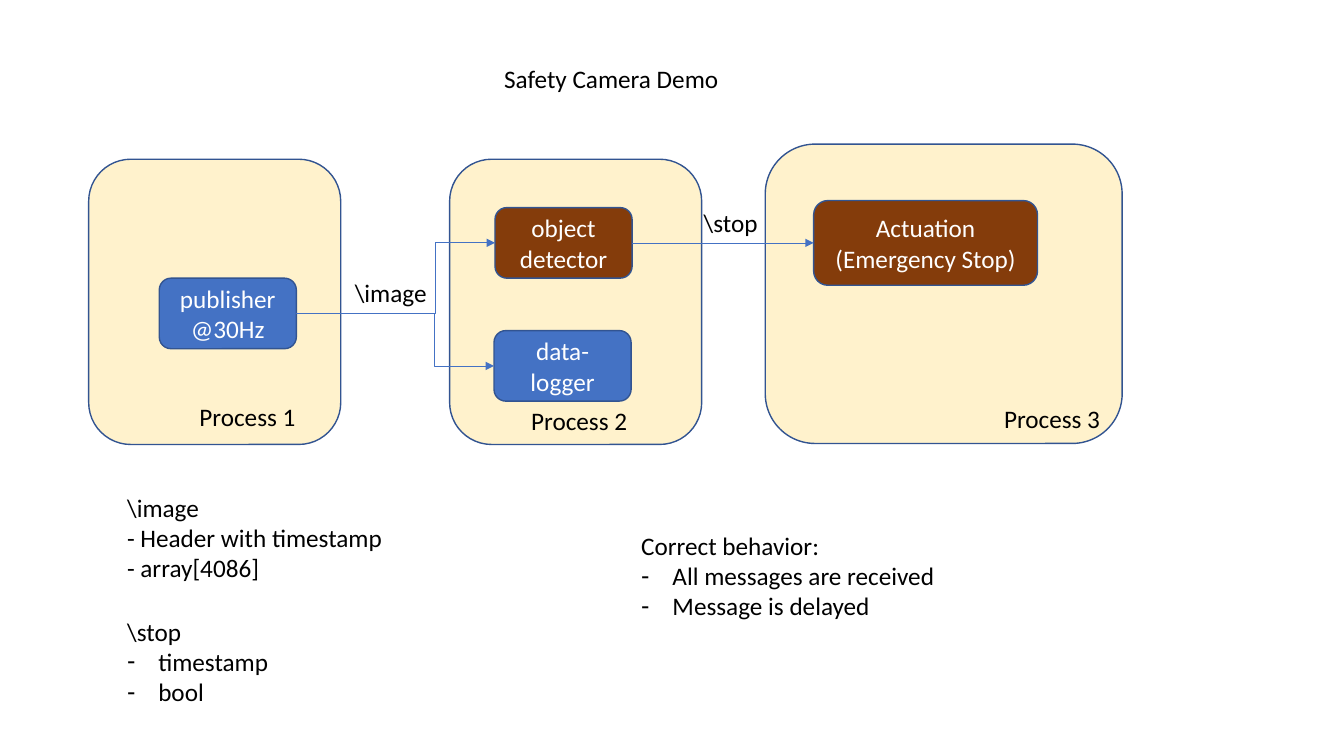
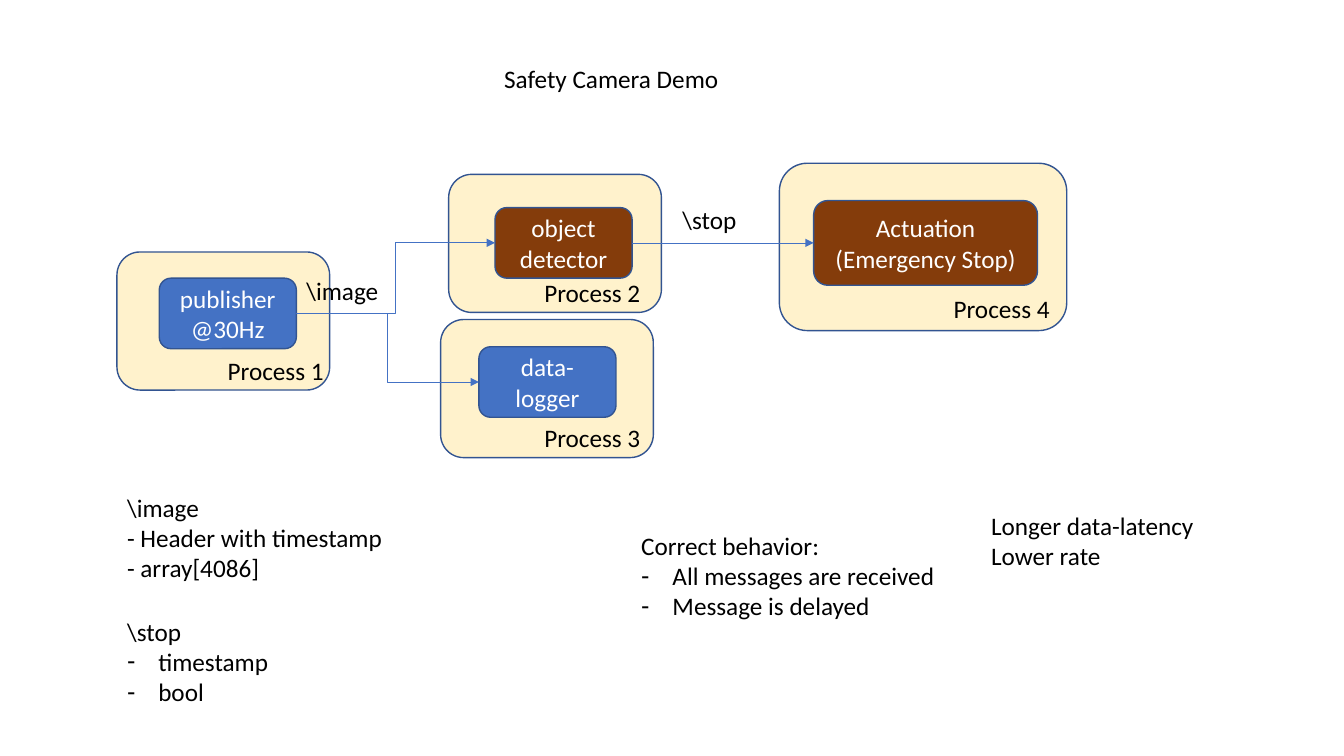
from lxml import etree
from pptx import Presentation
from pptx.dml.color import RGBColor
from pptx.enum.shapes import MSO_CONNECTOR, MSO_SHAPE
from pptx.enum.text import MSO_ANCHOR, MSO_AUTO_SIZE, PP_ALIGN
from pptx.oxml.ns import qn
from pptx.util import Emu, Pt

PX = 9144  # 100 px to the inch
INDENT = 31
COMPARE = 4  # layout with a title and four bodies

CREAM = RGBColor(0xFF, 0xF2, 0xCC)
BLUE = RGBColor(0x44, 0x72, 0xC4)
BROWN = RGBColor(0x84, 0x3C, 0x0B)
NAVY = RGBColor(0x32, 0x54, 0x91)
BLACK = RGBColor(0, 0, 0)
WHITE = RGBColor(0xFF, 0xFF, 0xFF)

ROUND = MSO_SHAPE.ROUNDED_RECTANGLE
ELBOW = MSO_CONNECTOR.ELBOW
STRAIGHT = MSO_CONNECTOR.STRAIGHT
LEFT, CENTER = PP_ALIGN.LEFT, PP_ALIGN.CENTER
TOP, MIDDLE = MSO_ANCHOR.TOP, MSO_ANCHOR.MIDDLE
WEST, EAST = 1, 3

FONT = {"name": "Calibri", "size": Pt(18), "bold": False}
PLAIN = {"word_wrap": False, "auto_size": MSO_AUTO_SIZE.NONE,
         "vertical_anchor": TOP}
INNER = {"word_wrap": True, "auto_size": MSO_AUTO_SIZE.NONE,
         "vertical_anchor": MIDDLE}

TITLE = "Safety Camera Demo"
NOTES = [
    ((116, 483, 276, 101),
     [r"\image", "- Header with timestamp", "- array[4086]"], []),
    ((116, 606, 162, 101), [r"\stop"], ["timestamp", "bool"]),
    ((626, 521, 314, 101), ["Correct behavior:"],
     ["All messages are received", "Message is delayed"]),
]
RATE = ((973, 501, 223, 71), ["Longer data-latency", "Lower rate"], [])

SHARED = {
    "title": TITLE,
    "detector": (491, 206),
    "publisher": (158, 276),
}
SLIDES = [
    SHARED | {
        "panels": [(759, 143, 354, 297), (446, 158, 250, 283),
                   (88, 158, 250, 283)],
        "logger": (490, 328),
        "bend": 70,
        "labels": [(r"\image", 342, 270, 92), (r"\stop", 688, 201, 74),
                   ("Process 1", 188, 393, 116),
                   ("Process 2", 517, 397, 116),
                   ("Process 3", 986, 395, 116)],
        "notes": NOTES,
    },
    SHARED | {
        "panels": [(773, 162, 285, 166), (437, 317, 211, 137),
                   (445, 173, 211, 137), (116, 250, 211, 137)],
        "logger": (475, 344),
        "bend": 50,
        "labels": [(r"\image", 294, 268, 92), (r"\stop", 667, 198, 74),
                   ("Process 1", 216, 348, 117),
                   ("Process 2", 530, 270, 117),
                   ("Process 3", 530, 414, 117),
                   ("Process 4", 936, 286, 117)],
        "notes": NOTES + [RATE],
    },
]


def px(*sizes):
    return [Emu(size * PX) for size in sizes]


def style(item, values):
    for name, value in values.items():
        setattr(item, name, value)


def write(shape, text, color=BLACK, align=LEFT, frame=PLAIN):
    box = shape.text_frame
    box.text = text
    style(box, frame)
    for par in box.paragraphs:
        style(par, {"alignment": align, "space_before": Pt(0)})
        style(par.font, FONT)
        par.font.color.rgb = color


def place(shape, spot):
    style(shape, dict(zip(("left", "top", "width", "height"), px(*spot))))


def bullet(par, dash):
    """Give a paragraph a hanging dash, or no bullet at all."""
    props = par._p.get_or_add_pPr()
    indent = INDENT * PX if dash else 0
    props.set("marL", str(indent))
    props.set("indent", str(-indent))
    if dash:
        etree.SubElement(props, qn("a:buChar")).set("char", "-")
    else:
        etree.SubElement(props, qn("a:buNone"))


def note(holder, spot, lines, items):
    place(holder, spot)
    write(holder, "\n".join(lines + items))
    for row, par in enumerate(holder.text_frame.paragraphs):
        bullet(par, row >= len(lines))


def panel(slide, spot, fill=CREAM):
    shape = slide.shapes.add_shape(ROUND, *px(*spot))
    shape.shadow.inherit = False
    shape.fill.solid()
    shape.fill.fore_color.rgb = fill
    shape.line.color.rgb = NAVY
    shape.line.width = Pt(1)
    return shape


def node(slide, text, spot, fill, size=(136, 70)):
    shape = panel(slide, spot + size, fill)
    write(shape, text, WHITE, CENTER, INNER)
    return shape


def label(slide, text, left, top, width):
    write(slide.shapes.add_textbox(*px(left, top, width, 40)), text)


def arrow(slide, start, end, bend=50):
    """Join the right side of start to the left side of end."""
    first = start.top + start.height // 2
    last = end.top + end.height // 2
    kind = STRAIGHT if first == last else ELBOW
    line = slide.shapes.add_connector(
        kind, start.left + start.width, first, end.left, last)
    line.begin_connect(start, EAST)
    line.end_connect(end, WEST)
    line.line.color.rgb = BLUE
    line.line.width = Pt(0.5)
    props = line._element.spPr
    etree.SubElement(line.line._get_or_add_ln(),
                     qn("a:tailEnd")).set("type", "triangle")
    etree.SubElement(props, qn("a:effectLst"))
    if kind == ELBOW:
        guide = etree.SubElement(props.find(".//" + qn("a:avLst")),
                                 qn("a:gd"))
        guide.set("name", "adj1")
        guide.set("fmla", f"val {bend * 1000}")


def draw(slide, data):
    title, *bodies = list(slide.placeholders)
    place(title, (490, 58, 235, 40))
    write(title, data["title"])
    notes = data["notes"]
    for holder, item in zip(bodies, notes):
        note(holder, *item)
    for spare in bodies[len(notes):]:
        spare._element.getparent().remove(spare._element)

    for spot in data["panels"]:
        panel(slide, spot)
    source = node(slide, "publisher@30Hz", data["publisher"], BLUE)
    finder = node(slide, "object detector", data["detector"], BROWN)
    logger = node(slide, "data-logger", data["logger"], BLUE)
    brake = node(slide, "Actuation\n(Emergency Stop)", (807, 199), BROWN,
                 (222, 84))
    for target in (finder, logger):
        arrow(slide, source, target, data["bend"])
    arrow(slide, finder, brake)
    for item in data["labels"]:
        label(slide, *item)


def main():
    deck = Presentation()
    deck.slide_width, deck.slide_height = px(1333, 750)
    for data in SLIDES:
        draw(deck.slides.add_slide(deck.slide_layouts[COMPARE]), data)
    deck.save("out.pptx")


if __name__ == "__main__":
    main()
